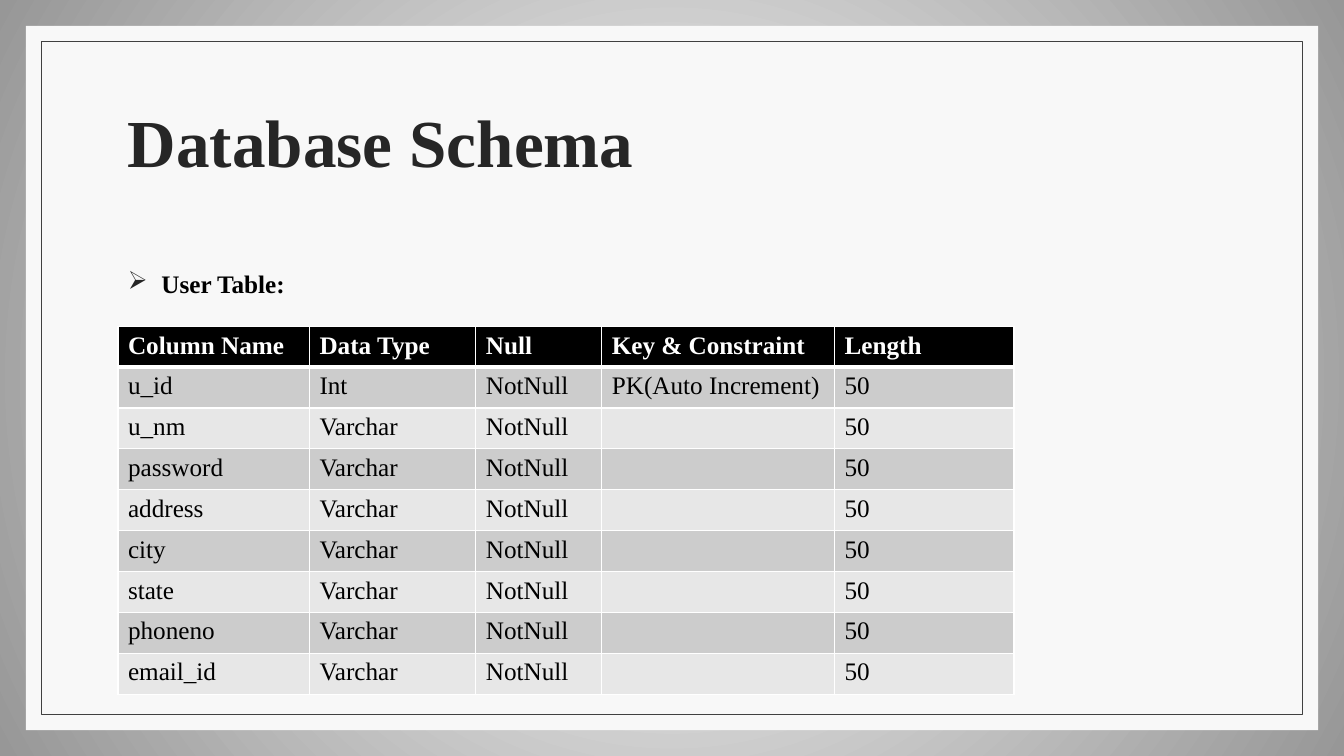
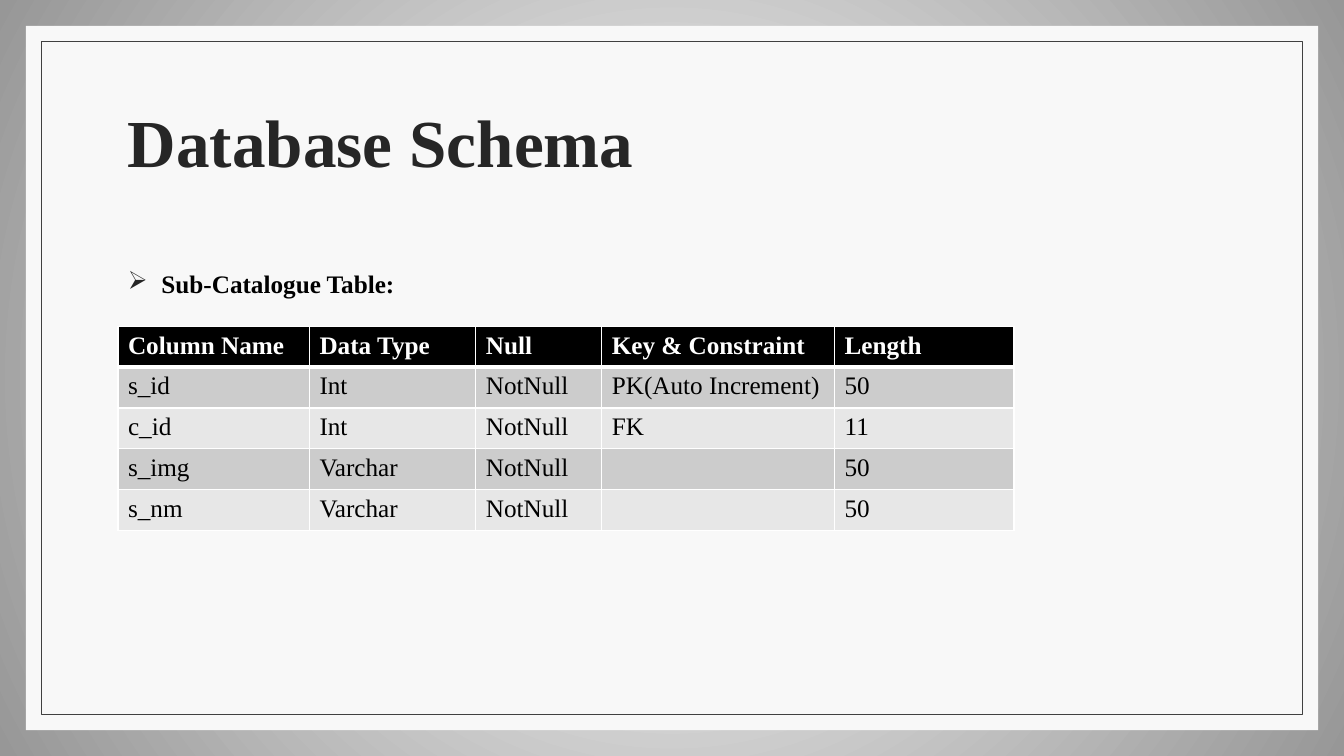
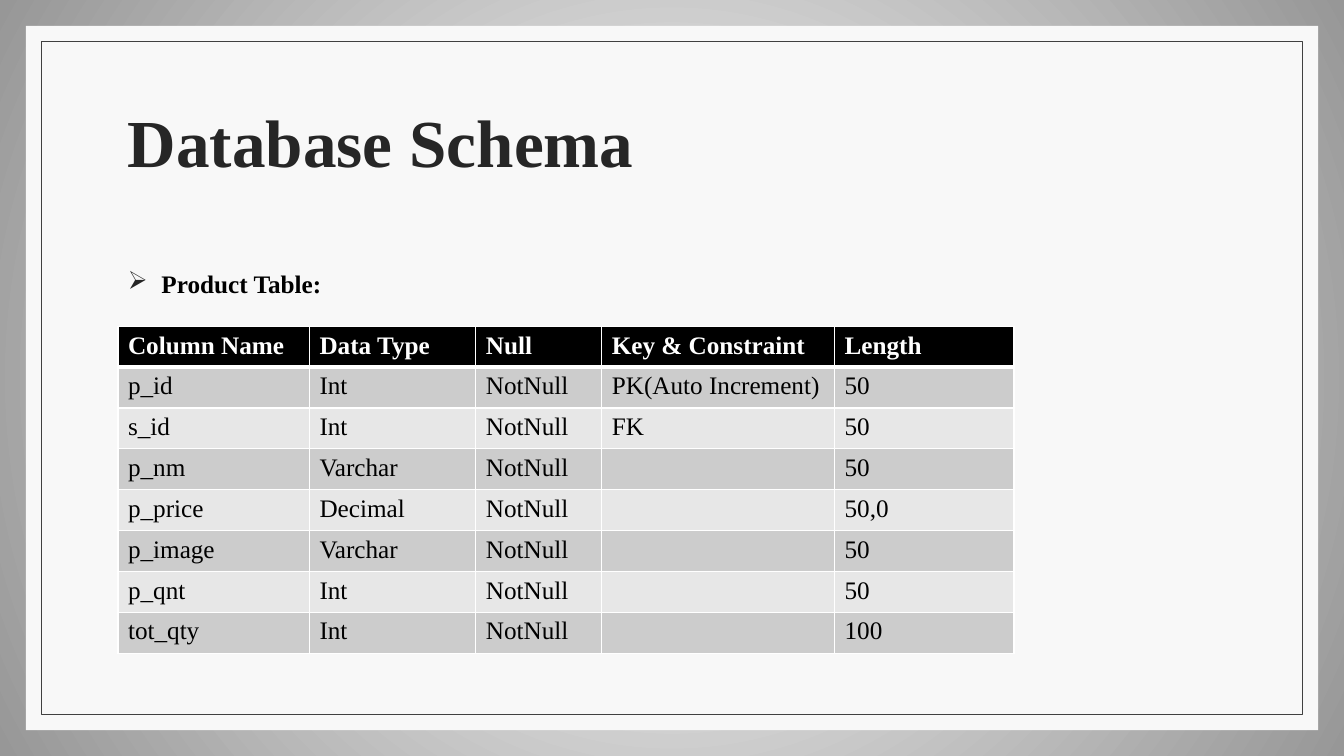
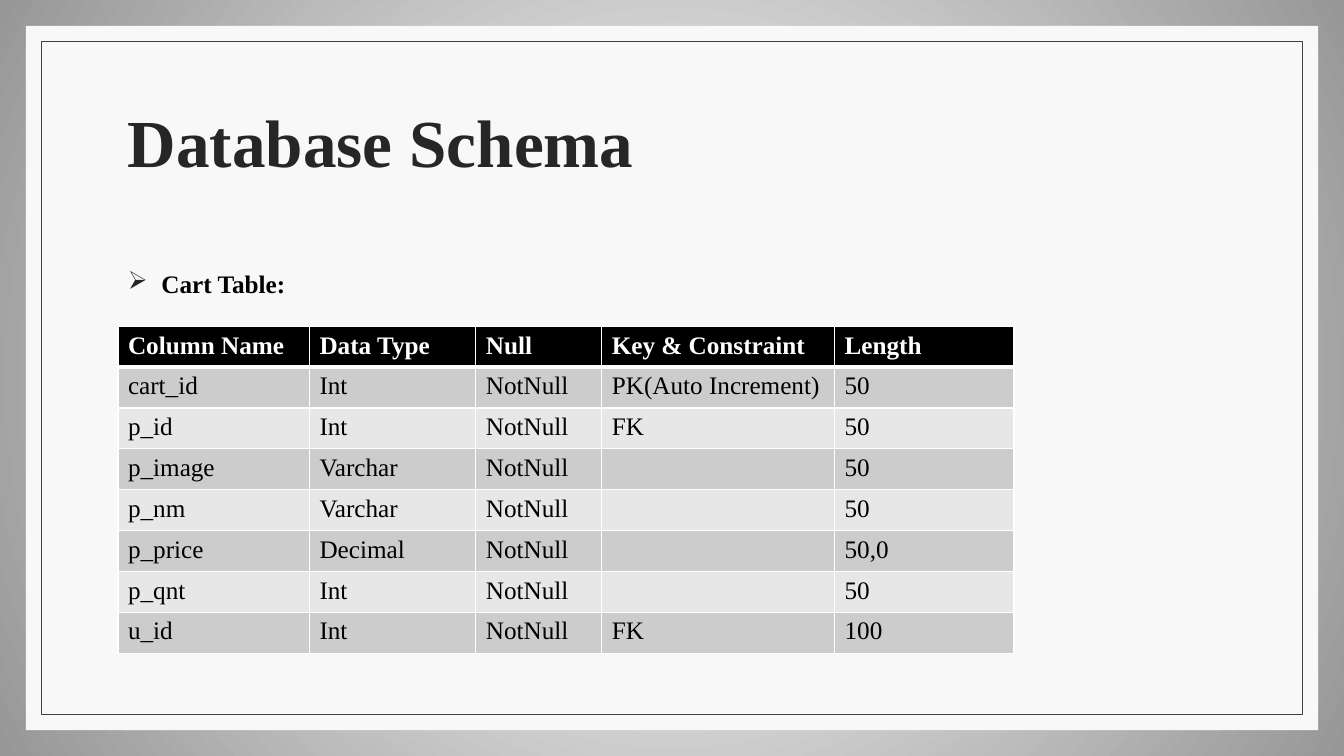
from lxml import etree
from pptx import Presentation
from pptx.dml.color import RGBColor
from pptx.enum.shapes import MSO_SHAPE
from pptx.enum.text import MSO_ANCHOR
from pptx.oxml import parse_xml
from pptx.oxml.ns import nsdecls, qn
from pptx.util import Pt

RECTANGLE = MSO_SHAPE.RECTANGLE
MIDDLE = MSO_ANCHOR.MIDDLE
TOP = MSO_ANCHOR.TOP

# Shared look, lengths in points
SLIDE_WIDTH, SLIDE_HEIGHT = 960, 540
FONT = "Times New Roman"
WHITE, BLACK = "FFFFFF", "000000"
EDGE_GREY, PAPER, FRAME = "979797", "F8F8F8", "404040"
TITLE_COLOR = "262626"
BAND_COLORS = ("CCCCCC", "E7E7E7")
TEXT_SIZE, TITLE_SIZE = 18, 48
PAPER_INSET, FRAME_INSET = 18.5, 29.5

TITLE_BOX = (84.24, 50.4, 792, 108)
CAPTION_BOX = (84.24, 188, 792, 30)
TABLE_ORIGIN = (84.24, 233.4)
COLUMN_WIDTHS = (136.8, 118.8, 90, 166.3, 128.2)
HEADER_HEIGHT, ROW_HEIGHT = 27.9, 29.2
BULLET_INDENT = 24
THIN, THICK = 1, 3

# Content: name, type, key, length of each database column
TITLE = "Database Schema"
HEADERS = ("Column Name", "Data Type", "Null", "Key & Constraint", "Length")
NULL_RULE = "NotNull"
PRIMARY = "PK(Auto Increment)"
SCHEMAS = [
    ("User Table:", [
        ("u_id", "Int", PRIMARY, "50"),
        ("u_nm", "Varchar", "", "50"),
        ("password", "Varchar", "", "50"),
        ("address", "Varchar", "", "50"),
        ("city", "Varchar", "", "50"),
        ("state", "Varchar", "", "50"),
        ("phoneno", "Varchar", "", "50"),
        ("email_id", "Varchar", "", "50"),
    ]),
    ("Sub-Catalogue Table:", [
        ("s_id", "Int", PRIMARY, "50"),
        ("c_id", "Int", "FK", "11"),
        ("s_img", "Varchar", "", "50"),
        ("s_nm", "Varchar", "", "50"),
    ]),
    ("Product Table:", [
        ("p_id", "Int", PRIMARY, "50"),
        ("s_id", "Int", "FK", "50"),
        ("p_nm", "Varchar", "", "50"),
        ("p_price", "Decimal", "", "50,0"),
        ("p_image", "Varchar", "", "50"),
        ("p_qnt", "Int", "", "50"),
        ("tot_qty", "Int", "", "100"),
    ]),
    ("Cart Table:", [
        ("cart_id", "Int", PRIMARY, "50"),
        ("p_id", "Int", "FK", "50"),
        ("p_image", "Varchar", "", "50"),
        ("p_nm", "Varchar", "", "50"),
        ("p_price", "Decimal", "", "50,0"),
        ("p_qnt", "Int", "", "50"),
        ("u_id", "Int", "FK", "100"),
    ]),
]


def rgb(color):
    return RGBColor.from_string(color)


def style_text(paragraph, size, color, bold):
    font = paragraph.font
    font.name = FONT
    font.size = Pt(size)
    font.bold = bold
    font.color.rgb = rgb(color)


def set_background(master):
    """Radial gradient, light in the centre, for every slide."""
    fill = master.background.fill
    fill.gradient()
    for stop, color in zip(fill.gradient_stops, (WHITE, EDGE_GREY)):
        stop.color.rgb = rgb(color)
    fill.gradient_stops[0].position = 0
    fill.gradient_stops[1].position = 1
    gradient = next(master.element.iter(qn("a:gradFill")))
    for linear in gradient.findall(qn("a:lin")):
        gradient.remove(linear)
    gradient.append(parse_xml(
        f'<a:path {nsdecls("a")} path="circle">'
        '<a:fillToRect l="50000" t="50000" r="50000" b="50000"/></a:path>'))


def add_inset_rectangle(slide, inset, fill=None, line=None):
    shape = slide.shapes.add_shape(
        RECTANGLE, Pt(inset), Pt(inset),
        Pt(SLIDE_WIDTH - 2 * inset), Pt(SLIDE_HEIGHT - 2 * inset))
    shape.shadow.inherit = False
    if fill:
        shape.fill.solid()
        shape.fill.fore_color.rgb = rgb(fill)
    else:
        shape.fill.background()
    if line:
        shape.line.color.rgb = rgb(line)
        shape.line.width = Pt(0.5)
    else:
        shape.line.fill.background()


def add_text(slide, box, text, size, color, anchor):
    frame = slide.shapes.add_textbox(*map(Pt, box)).text_frame
    frame.word_wrap = True
    frame.vertical_anchor = anchor
    paragraph = frame.paragraphs[0]
    paragraph.text = text
    return paragraph, (size, color, True)


def add_title(slide, box):
    paragraph, style = add_text(slide, box, TITLE, TITLE_SIZE, TITLE_COLOR, MIDDLE)
    paragraph.line_spacing = 0.9
    style_text(paragraph, *style)


def add_caption(slide, box, text):
    paragraph, style = add_text(slide, box, text, TEXT_SIZE, BLACK, TOP)
    properties = paragraph._p.get_or_add_pPr()
    properties.set("marL", str(Pt(BULLET_INDENT)))
    properties.set("indent", str(-Pt(BULLET_INDENT)))
    color = etree.SubElement(properties, qn("a:buClr"))
    etree.SubElement(color, qn("a:srgbClr"), val=TITLE_COLOR)
    etree.SubElement(properties, qn("a:buChar"), char="➢")
    style_text(paragraph, *style)


def set_borders(cell, top, bottom):
    properties = cell._tc.get_or_add_tcPr()
    sides = (("lnL", THIN), ("lnR", THIN), ("lnT", top), ("lnB", bottom))
    for index, (side, width) in enumerate(sides):
        properties.insert(index, parse_xml(
            f'<a:{side} {nsdecls("a")} w="{Pt(width)}"><a:solidFill>'
            f'<a:srgbClr val="{WHITE}"/></a:solidFill></a:{side}>'))


def add_schema_table(slide, origin, fields):
    rows = [HEADERS] + [(name, kind, NULL_RULE, key, length)
                        for name, kind, key, length in fields]
    height = HEADER_HEIGHT + ROW_HEIGHT * len(fields)
    table = slide.shapes.add_table(
        len(rows), len(HEADERS), *map(Pt, origin),
        Pt(sum(COLUMN_WIDTHS)), Pt(height)).table
    table.horz_banding = False
    for column, width in zip(table.columns, COLUMN_WIDTHS):
        column.width = Pt(width)
    for row_index, values in enumerate(rows):
        header = row_index == 0
        table.rows[row_index].height = Pt(HEADER_HEIGHT if header else ROW_HEIGHT)
        fill = BLACK if header else BAND_COLORS[(row_index - 1) % 2]
        for column_index, value in enumerate(values):
            cell = table.cell(row_index, column_index)
            cell.fill.solid()
            cell.fill.fore_color.rgb = rgb(fill)
            set_borders(cell, THICK if row_index == 1 else THIN,
                        THICK if header else THIN)
            paragraph = cell.text_frame.paragraphs[0]
            paragraph.text = value
            style_text(paragraph, TEXT_SIZE, WHITE if header else BLACK, header)


def add_schema_slide(presentation, caption, fields):
    slide = presentation.slides.add_slide(presentation.slide_layouts[6])
    add_inset_rectangle(slide, PAPER_INSET, fill=PAPER)
    add_inset_rectangle(slide, FRAME_INSET, line=FRAME)
    add_title(slide, TITLE_BOX)
    add_caption(slide, CAPTION_BOX, caption)
    add_schema_table(slide, TABLE_ORIGIN, fields)


def main():
    presentation = Presentation()
    presentation.slide_width = Pt(SLIDE_WIDTH)
    presentation.slide_height = Pt(SLIDE_HEIGHT)
    set_background(presentation.slide_master)
    for caption, fields in SCHEMAS:
        add_schema_slide(presentation, caption, fields)
    presentation.save("out.pptx")


if __name__ == "__main__":
    main()
